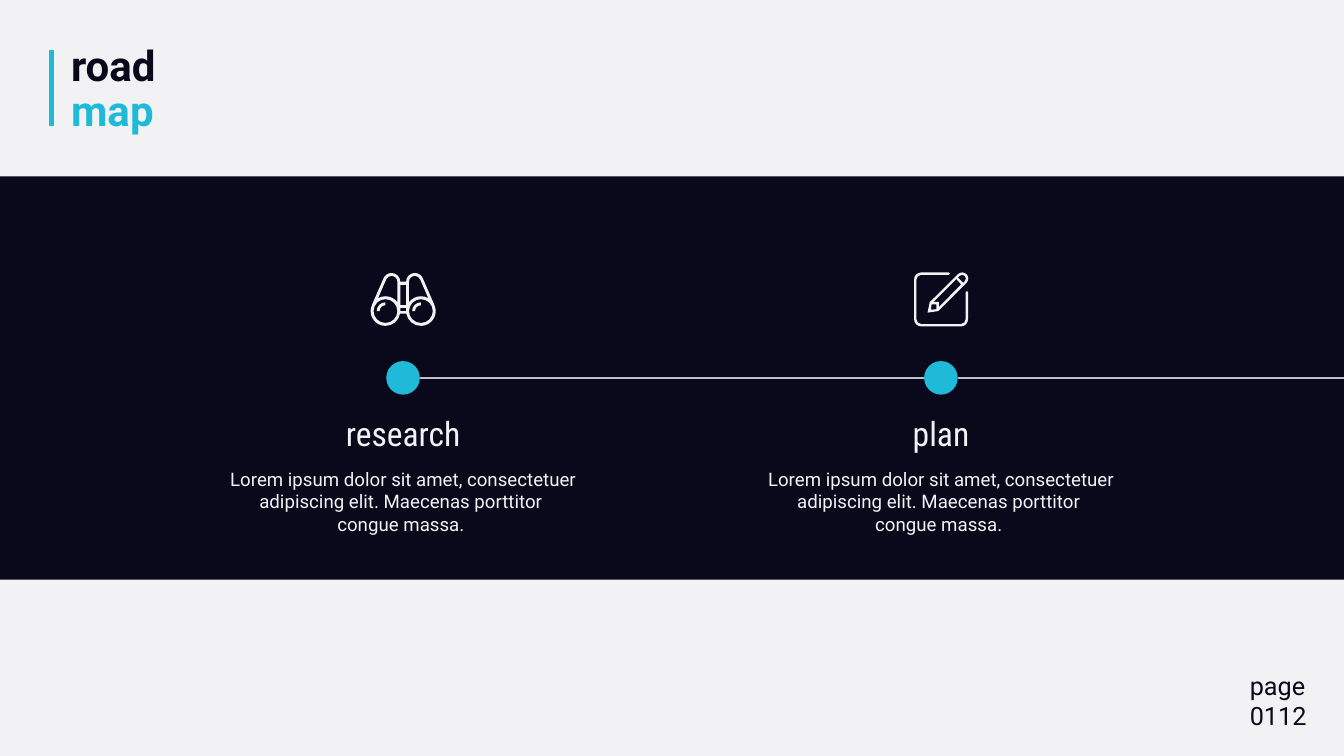
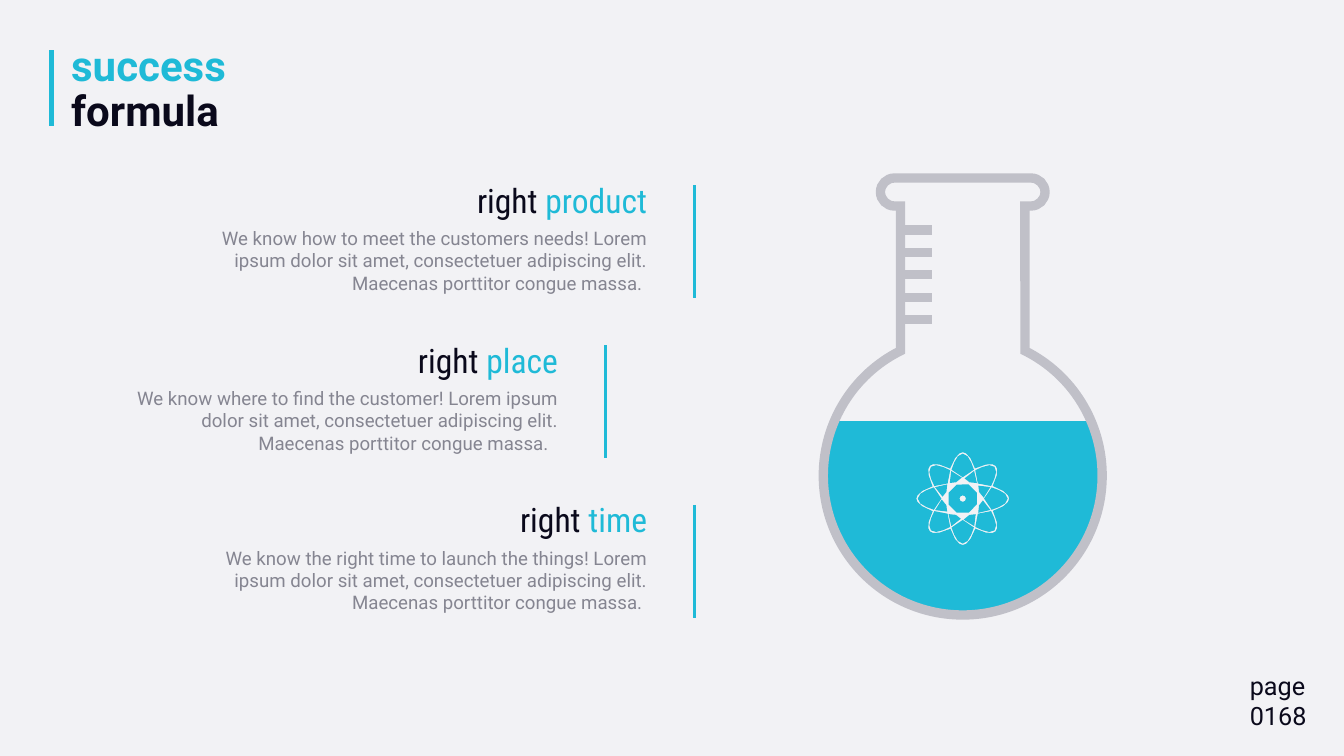
from dataclasses import dataclass
from math import cos, radians, sin, tan

from lxml import etree
from pptx import Presentation
from pptx import util as u
from pptx.dml.color import RGBColor
from pptx.enum import shapes, text
from pptx.oxml.ns import qn

PALE, DARK, CYAN, GREY, SLATE = "F2F2F5", "0A091B", "1FBAD7", "C0C0C8", "858591"
SANS, SLIM = "Roboto", "Roboto Condensed"
LEFT, MID, RIGHT = text.PP_ALIGN.LEFT, text.PP_ALIGN.CENTER, text.PP_ALIGN.RIGHT
BREAK = ("\n", "")

Point = tuple[float, float]


@dataclass
class Arc:
    x: float
    y: float
    r: float
    start: float
    end: float

    def spot(self, turn: float, push: float = 0) -> Point:
        c, s = cos(radians(turn)), sin(radians(turn))
        return self.x + self.r * (c - push * s), self.y + self.r * (s + push * c)

    def steps(self) -> list[list[Point]]:
        low, high = sorted((self.start, self.end))
        cuts = [low, *(t for t in range(-360, 361, 90) if low < t < high), high]
        if self.start > self.end:
            cuts.reverse()
        out = [[self.spot(self.start)]]
        for a, b in zip(cuts, cuts[1:]):
            push = 4 / 3 * tan(radians(b - a) / 4)
            out.append([self.spot(a, push), self.spot(b, -push), self.spot(b)])
        return out


Path = list[Point | Arc]


@dataclass
class Style:
    size: int
    font: str = SANS
    align: int = LEFT
    bold: bool = False
    space: float = 1.0


TITLE = Style(45, bold=True, space=0.9)
PAGE = Style(27)


@dataclass
class Step:
    mid: float
    name: str
    icon: list[Path]


@dataclass
class Factor:
    edge: float
    name: str
    body: str


def tint(code: str) -> RGBColor:
    return RGBColor.from_string(code)


def paint(shape, fill: str = "", line: str = "", width: float = 0) -> None:
    shape.shadow.inherit = False
    if fill:
        shape.fill.solid()
        shape.fill.fore_color.rgb = tint(fill)
    else:
        shape.fill.background()
    if line:
        shape.line.color.rgb = tint(line)
        shape.line.width = u.Pt(width)
        edge = shape._element.spPr.find(qn("a:ln"))
        etree.SubElement(edge, qn("a:miter"), lim="800000")
    else:
        shape.line.fill.background()


def block(slide, kind: int, left: float, top: float, wide: float, high: float,
          fill: str) -> None:
    shape = slide.shapes.add_shape(kind, u.Cm(left), u.Cm(top), u.Cm(wide), u.Cm(high))
    paint(shape, fill)


def rule(slide, start: Point, end: Point, color: str, width: float) -> None:
    line = slide.shapes.add_connector(
        shapes.MSO_CONNECTOR.STRAIGHT, *(u.Cm(v) for v in start + end))
    line.line.color.rgb = tint(color)
    line.line.width = u.Pt(width)
    etree.SubElement(line._element.spPr, qn("a:effectLst"))


def write(slide, left: float, top: float, wide: float, high: float,
          paras: list[list[tuple[str, str]]], style: Style) -> None:
    box = slide.shapes.add_textbox(u.Cm(left), u.Cm(top), u.Cm(wide), u.Cm(high))
    frame = box.text_frame
    frame.word_wrap = True
    for i, runs in enumerate(paras):
        para = frame.add_paragraph() if i else frame.paragraphs[0]
        para.alignment = style.align
        para.line_spacing = style.space
        para.font.size = u.Pt(style.size)
        para.font.name = style.font
        para.font.bold = style.bold
        para.font.color.rgb = tint(runs[0][1])
        for part in runs:
            if part == BREAK:
                para.add_line_break()
                continue
            run = para.add_run()
            run.text = part[0]
            if part[1] != runs[0][1]:
                run.font.color.rgb = tint(part[1])


def ring(x: float, y: float, r: float) -> Path:
    return [Arc(x, y, r, 0, 360)]


def rect(left: float, top: float, right: float, low: float) -> Path:
    return [(left, top), (right, top), (right, low), (left, low)]


def flip(path: Path) -> Path:
    return [Arc(-p.x, p.y, p.r, 180 - p.end, 180 - p.start) if isinstance(p, Arc)
            else (-p[0], p[1]) for p in reversed(path)]


def spin(path: list[Point], turn: float) -> list[Point]:
    c, s = cos(radians(turn)), sin(radians(turn))
    return [(x * c - y * s, x * s + y * c) for x, y in path]


def draw(slide, x: float, y: float, paths: list[Path], fill: str = "",
         line: str = "", width: float = 0) -> None:
    build, sizes = None, []
    for path in paths:
        steps = [s for p in path for s in (p.steps() if isinstance(p, Arc) else [[p]])]
        spots = [(u.Cm(x + a), u.Cm(y + b)) for step in steps for a, b in step]
        if build:
            build.move_to(*spots[0])
        else:
            build = slide.shapes.build_freeform(*spots[0])
        build.add_line_segments(spots[1:], close=True)
        sizes += [len(step) for step in steps[1:]]
    shape = build.convert_to_shape()
    nodes = iter(list(shape._element.iter(qn("a:lnTo"))))
    for size in sizes:
        group = [next(nodes) for _ in range(size)]
        if size == 3:
            curve = etree.Element(qn("a:cubicBezTo"))
            group[0].addprevious(curve)
            for node in group:
                curve.append(node[0])
                node.getparent().remove(node)
    paint(shape, fill, line, width)


def scope() -> list[Path]:
    half = [Arc(-0.67, 0.44, 0.56, 10, 205), Arc(-0.44, -0.67, 0.33, 198, 360)]
    tube = [Arc(-0.67, 0.44, 0.56, -36, -120), Arc(-0.44, -0.67, 0.22, 205, 360)]
    paths = [half + flip(half), tube, flip(tube),
             rect(-0.11, 0.32, 0.11, 0.44), rect(-0.11, -0.55, 0.11, 0.22)]
    for x in (-0.67, 0.67):
        paths += [ring(x, 0.44, 0.45),
                  [Arc(x, 0.44, 0.33, 180, 270), Arc(x, 0.44, 0.22, 270, 180)]]
    return paths


def pencil() -> list[Path]:
    bends = [(0.75, 0.75, 0), (-0.75, 0.75, 90), (-0.75, -0.75, 180)]
    outer = [Arc(x, y, 0.27, a, a + 90) for x, y, a in bends]
    inner = [Arc(x, y, 0.18, a + 90, a) for x, y, a in reversed(bends)]
    page = [(1.02, -0.27), *outer, (0.28, -1.02), (0.33, -0.97), (0.28, -0.93),
            *inner, (0.93, -0.27), (0.98, -0.32)]
    body = [(-0.51, 0.5), (-0.1, 0.44), Arc(0.8, -0.79, 0.23, 45, -135), (-0.43, 0.11)]
    cap = [Arc(0.8, -0.79, 0.14, 45, -135), (0.64, -0.83), (0.84, -0.62)]
    shaft = [(0.58, -0.77), (0.76, -0.57), (-0.08, 0.29), (-0.08, 0.09), (-0.28, 0.09)]
    tip = [(-0.36, 0.19), (-0.18, 0.19), (-0.18, 0.37), (-0.38, 0.39)]
    return [page, body, cap, shaft, tip]


def atom() -> list[Path]:
    petal = [(-0.5, -1.19), (-0.33, -1.55), (-0.15, -1.75), (0, -1.8),
             (0.15, -1.75), (0.33, -1.55)]
    side = [(0.15, -1.57), (0.28, -1.35), (0.37, -1.11)]
    loop = [(0, -1.65), *side, (0, -0.86), *flip(side)]
    kite = [(-0.4, -0.97), (-0.11, -0.79), (-0.27, -0.66), (-0.44, -0.64)]
    turns = range(0, 360, 45)
    edge = [p for t in turns for p in spin(petal, t)]
    holes = [spin(path, t) for t in turns for path in (loop, kite)]
    core = [spin([(0.49, 0.2)], t)[0] for t in turns]
    return [edge, *holes, core, ring(0, 0, 0.17)]


def flask(slide, x: float, y: float) -> None:
    draw(slide, x, y, [[Arc(0, 0, 5.27, -23, 203)]], CYAN)
    for i in range(5):
        mark = 8.69 + 0.85 * i
        rule(slide, (34.14, mark), (35.23, mark), GREY, 10)
    glass = [Arc(2.58, -10.72, 0.53, -90, 90), (2.35, -10.19),
             Arc(0, 0, 5.27, -63.5, 243.5), (-2.35, -10.19),
             Arc(-2.58, -10.72, 0.53, 90, 270)]
    draw(slide, x, y, [glass], line=GREY, width=10)
    draw(slide, x, y + 0.87, atom(), PALE, CYAN, 2.5)


def start(deck, first: tuple[str, str], second: tuple[str, str], page: str):
    slide = deck.slides.add_slide(deck.slide_layouts[6])
    slide.background.fill.solid()
    slide.background.fill.fore_color.rgb = tint(PALE)
    rule(slide, (1.95, 1.9), (1.95, 4.77), CYAN, 5)
    write(slide, 2.44, 1.57, 15.14, 3.71, [[first, BREAK, second]], TITLE)
    write(slide, 46.99, 25.2, 4.83, 2.64, [[("page", DARK)], [(page, DARK)]], PAGE)
    return slide


def roadmap(deck) -> None:
    slide = start(deck, ("road", DARK), ("map", CYAN), "0112")
    block(slide, shapes.MSO_SHAPE.RECTANGLE, 0, 6.67, 50.8, 15.24, DARK)
    steps = [Step(15.24, "research", scope()), Step(35.57, "plan", pencil())]
    ends = [step.mid - 0.64 for step in steps[1:]] + [50.8]
    body = ["Lorem ipsum dolor sit amet, consectetuer adipiscing elit. Maecenas porttitor ",
            "congue massa. "]
    for step, end in zip(steps, ends):
        mid = step.mid
        rule(slide, (mid + 0.64, 14.29), (end, 14.29), GREY, 2)
        block(slide, shapes.MSO_SHAPE.OVAL, mid - 0.64, 13.65, 1.27, 1.27, CYAN)
        write(slide, mid - 5.32, 15.49, 10.64, 1.8, [[(step.name, PALE)]],
              Style(36, SLIM, MID))
        write(slide, mid - 7.85, 17.56, 15.7, 2.82, [[(line, PALE)] for line in body],
              Style(20, SANS, MID))
        draw(slide, mid, 11.32, step.icon, PALE)


def formula(deck) -> None:
    slide = start(deck, ("success", CYAN), ("formula", DARK), "0168")
    tail = ("Lorem ipsum dolor sit amet, consectetuer adipiscing elit."
            " Maecenas porttitor congue massa. ")
    facts = [
        Factor(24.71, "product", f"We know how to meet the customers needs! {tail}"),
        Factor(21.34, "place", f"We know where to find the customer! {tail} "),
        Factor(24.71, "time", f"We know the right time to launch the things! {tail}"),
    ]
    for i, fact in enumerate(facts):
        top, edge = 6.67 + 6.04 * i, fact.edge
        write(slide, edge - 16.92, top + 1.78, 16.92, 2.82,
              [[(fact.body, SLATE)]], Style(20, SANS, RIGHT))
        write(slide, edge - 17.09, top, 17.09, 1.8,
              [[("right ", DARK), (fact.name, CYAN)]], Style(36, SLIM, RIGHT))
        rule(slide, (edge + 1.55, top + 0.34), (edge + 1.55, top + 4.61), CYAN, 3)
    flask(slide, 36.39, 17.98)


def main() -> None:
    deck = Presentation()
    deck.slide_width, deck.slide_height = u.Cm(50.8), u.Cm(28.58)
    roadmap(deck)
    formula(deck)
    deck.save("out.pptx")


if __name__ == "__main__":
    main()
